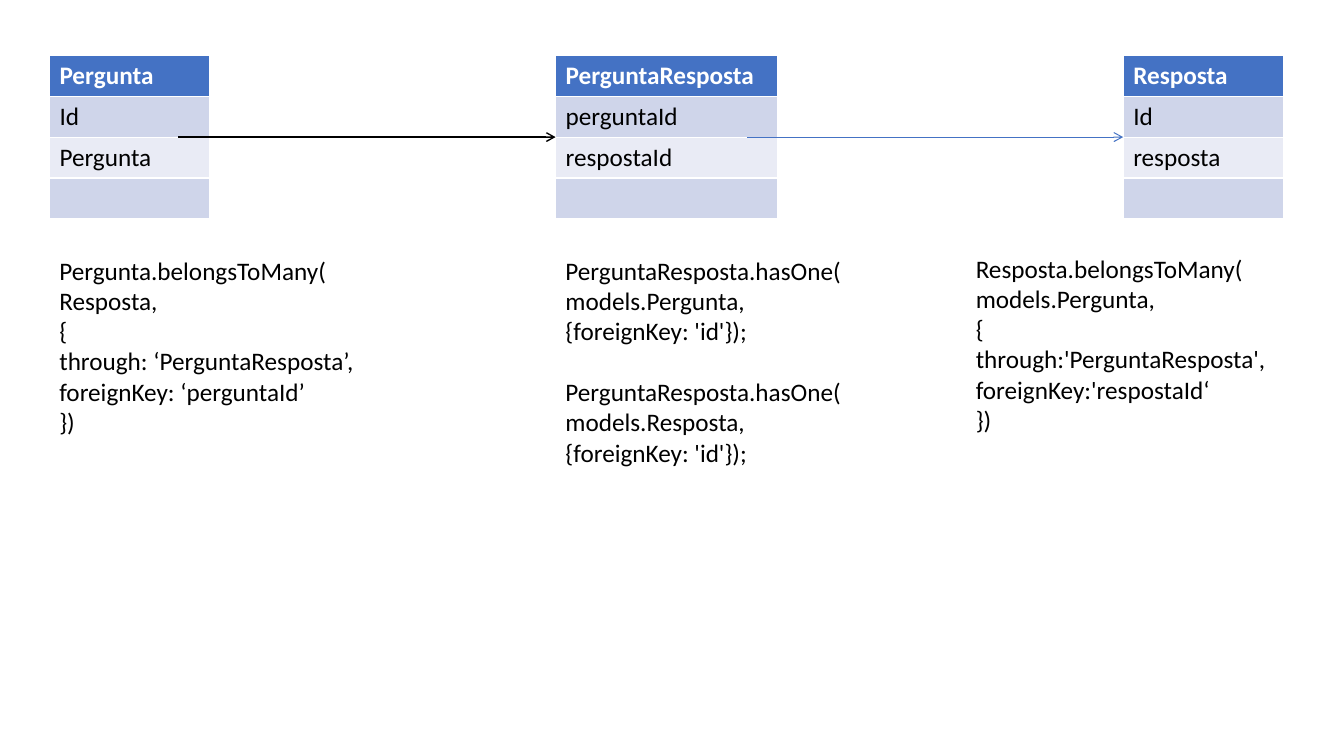
from lxml import etree
from pptx import Presentation
from pptx.dml.color import RGBColor
from pptx.enum.shapes import MSO_CONNECTOR
from pptx.enum.text import MSO_AUTO_SIZE
from pptx.oxml.ns import qn
from pptx.util import Pt

PX = 9144  # 100 px to the inch
STRAIGHT = MSO_CONNECTOR.STRAIGHT
FIT_SHAPE = MSO_AUTO_SIZE.SHAPE_TO_FIT_TEXT
BLANK_LAYOUT = 6

COLORS = {
    "black": "000000",
    "white": "FFFFFF",
    "blue": "4472C4",
    "band_dark": "CFD5EA",
    "band_light": "E9EBF5",
}
ROW_FILLS = ["blue", "band_dark", "band_light", "band_dark"]

TABLE_TOP, TABLE_HEIGHT = 55, 162
ARROW_Y = TABLE_TOP + TABLE_HEIGHT // 2

# left, width, row texts
TABLES = [
    (49, 159, ["Pergunta", "Id", "Pergunta", ""]),
    (551, 220, ["PerguntaResposta", "perguntaId", "respostaId", ""]),
    (1114, 159, ["Resposta", "Id", "resposta", ""]),
]

# start x, end x, colour, line width in points
ARROWS = [
    (177, 551, "black", 1),
    (741, 1114, "blue", 0.75),
]

# left, top, width, height, blocks of code
CODE_BOXES = [
    (49, 248, 321, 192, [
        "Pergunta.belongsToMany(\nResposta,\n{\nthrough: ‘PerguntaResposta’,\n"
        "foreignKey: ‘perguntaId’\n})",
    ]),
    (551, 248, 301, 222, [
        "PerguntaResposta.hasOne(\nmodels.Pergunta,\n{foreignKey: 'id'});",
        "PerguntaResposta.hasOne(\nmodels.Resposta,\n{foreignKey: 'id'});",
    ]),
    (958, 246, 316, 192, [
        "Resposta.belongsToMany(\nmodels.Pergunta,\n{\nthrough:'PerguntaResposta',\n"
        "foreignKey:'respostaId‘\n})",
    ]),
]


def color(name):
    return RGBColor.from_string(COLORS[name])


def write(paragraph, text, font_color="black", size=18, bold=False, space_before=0):
    paragraph.space_before = Pt(space_before)
    font = paragraph.font
    if text:
        run = paragraph.add_run()
        run.text = text
        font = run.font
    font.name = "Calibri"
    font.size = Pt(size)
    font.bold = bold
    font.color.rgb = color(font_color)


def add_entity_table(slide, left, width, texts):
    frame = slide.shapes.add_table(
        len(texts), 1, left * PX, TABLE_TOP * PX, width * PX, TABLE_HEIGHT * PX)
    for index, (text, fill) in enumerate(zip(texts, ROW_FILLS)):
        is_header = index == 0
        cell = frame.table.cell(index, 0)
        cell.fill.solid()
        cell.fill.fore_color.rgb = color(fill)
        write(cell.text_frame.paragraphs[0], text, bold=is_header,
              font_color="white" if is_header else "black")


def add_arrow(slide, start, end, line_color, width):
    arrow = slide.shapes.add_connector(
        STRAIGHT, start * PX, ARROW_Y * PX, end * PX, ARROW_Y * PX)
    arrow.line.color.rgb = color(line_color)
    arrow.line.width = Pt(width)
    etree.SubElement(arrow.line._get_or_add_ln(), qn("a:tailEnd"), type="arrow")
    etree.SubElement(arrow._element.spPr, qn("a:effectLst"))


def add_code_box(slide, left, top, width, height, blocks):
    """Add lines of code, with a gap of one line between blocks."""
    box = slide.shapes.add_textbox(left * PX, top * PX, width * PX, height * PX)
    text_frame = box.text_frame
    text_frame.word_wrap = False
    text_frame.auto_size = FIT_SHAPE
    paragraph = text_frame.paragraphs[0]
    for block_index, block in enumerate(blocks):
        for line_index, line in enumerate(block.split("\n")):
            if block_index or line_index:
                paragraph = text_frame.add_paragraph()
            starts_new_block = block_index > 0 and line_index == 0
            write(paragraph, line, space_before=22 if starts_new_block else 0)


def main():
    presentation = Presentation()
    presentation.slide_width = 1333 * PX
    presentation.slide_height = 750 * PX
    slide = presentation.slides.add_slide(presentation.slide_layouts[BLANK_LAYOUT])
    for table in TABLES:
        add_entity_table(slide, *table)
    for arrow in ARROWS:
        add_arrow(slide, *arrow)
    for code_box in CODE_BOXES:
        add_code_box(slide, *code_box)
    presentation.save("out.pptx")


if __name__ == "__main__":
    main()
